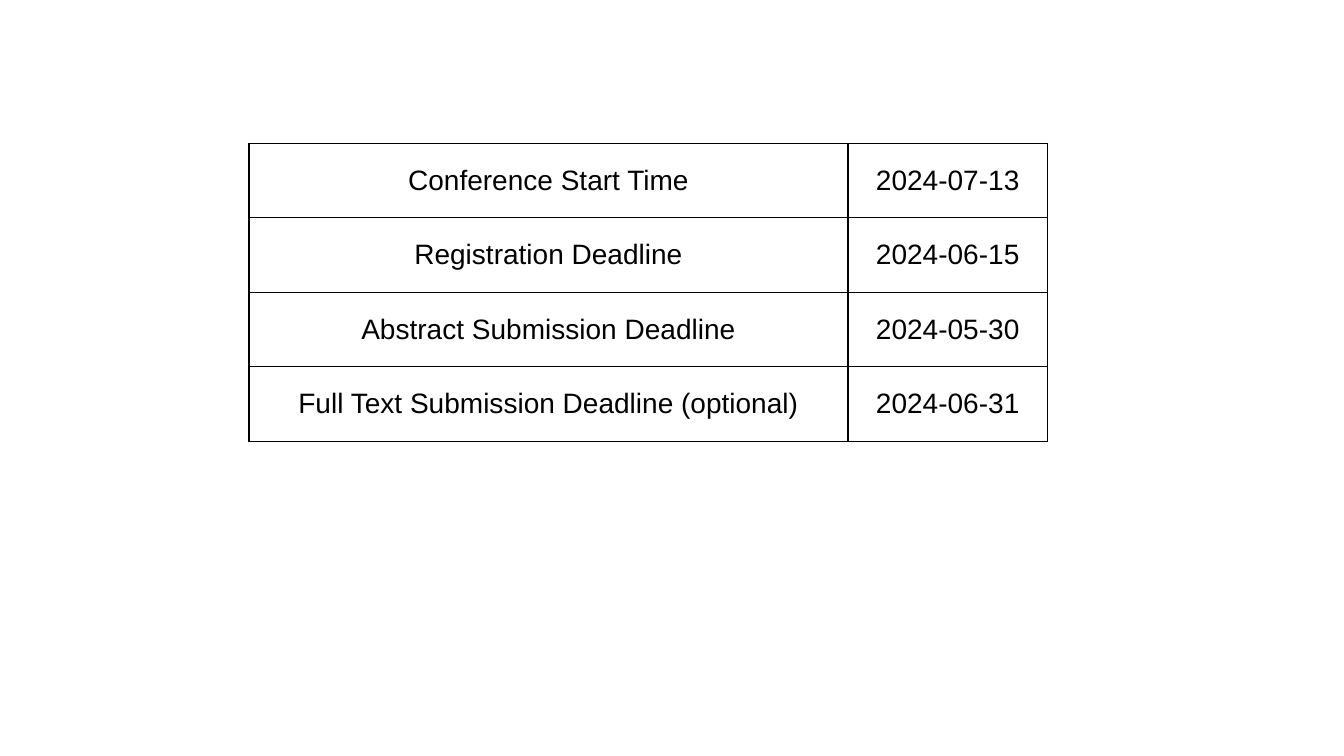
from dataclasses import dataclass

from lxml import etree
from pptx import Presentation
from pptx import util as u
from pptx.dml.color import RGBColor
from pptx.enum import text
from pptx.oxml import ns


@dataclass(frozen=True)
class Theme:
    font: str = "Arial"
    size: float = 20
    ink: str = "000000"
    paper: str = "FFFFFF"
    border: float = 1
    # Grid origin, pitch and cell padding in inches
    left: float = 2.47
    top: float = 1.42
    column: float = 1.98
    row: float = 0.74
    padding: float = 0.07


DEADLINES = [
    ("Conference Start Time", "2024-07-13"),
    ("Registration Deadline", "2024-06-15"),
    ("Abstract Submission Deadline", "2024-05-30"),
    ("Full Text Submission Deadline (optional)", "2024-06-31"),
]
COLUMN_SPANS = (3, 1)


def write_text(frame, content, *, font, size, color, align=text.PP_ALIGN.CENTER):
    paragraph = frame.paragraphs[0]
    paragraph.alignment = align
    run = paragraph.add_run()
    run.text = content
    run.font.name = font
    run.font.size = u.Pt(size)
    run.font.color.rgb = RGBColor.from_string(color)


class SlideBuilder:
    def __init__(self, slide, theme):
        self.slide = slide
        self.theme = theme

    def background(self):
        fill = self.slide.background.fill
        fill.solid()
        fill.fore_color.rgb = RGBColor.from_string(self.theme.paper)

    def table(self, rows, spans):
        theme = self.theme
        shape = self.slide.shapes.add_table(
            len(rows), len(spans), u.Inches(theme.left), u.Inches(theme.top),
            u.Inches(theme.column * sum(spans)), u.Inches(theme.row * len(rows)))
        table = shape.table
        table.first_row = table.horz_banding = False
        for column, span in zip(table.columns, spans):
            column.width = u.Inches(theme.column * span)
        for row, contents in zip(table.rows, rows):
            row.height = u.Inches(theme.row)
            for cell, content in zip(row.cells, contents):
                self.cell(cell, content)

    def cell(self, cell, content):
        theme = self.theme
        cell.fill.solid()
        cell.fill.fore_color.rgb = RGBColor.from_string(theme.paper)
        cell.vertical_anchor = text.MSO_ANCHOR.MIDDLE
        padding = u.Inches(theme.padding)
        cell.margin_left = cell.margin_right = padding
        cell.margin_top = cell.margin_bottom = padding
        write_text(cell.text_frame, content, font=theme.font,
                   size=theme.size, color=theme.ink)
        self.borders(cell)

    def borders(self, cell):
        properties = cell._tc.get_or_add_tcPr()
        # Border lines come before the fill in the cell properties
        for index, side in enumerate(("lnL", "lnR", "lnT", "lnB")):
            line = etree.Element(ns.qn(f"a:{side}"), w=str(u.Pt(self.theme.border)))
            fill = etree.SubElement(line, ns.qn("a:solidFill"))
            etree.SubElement(fill, ns.qn("a:srgbClr"), val=self.theme.ink)
            properties.insert(index, line)


def main():
    presentation = Presentation()
    presentation.slide_width = u.Inches(13.33)
    presentation.slide_height = u.Inches(7.5)
    blank_layout = presentation.slide_layouts[6]
    builder = SlideBuilder(presentation.slides.add_slide(blank_layout), Theme())

    # Page
    builder.background()

    # Conference dates
    builder.table(DEADLINES, COLUMN_SPANS)

    presentation.save("out.pptx")


if __name__ == "__main__":
    main()
